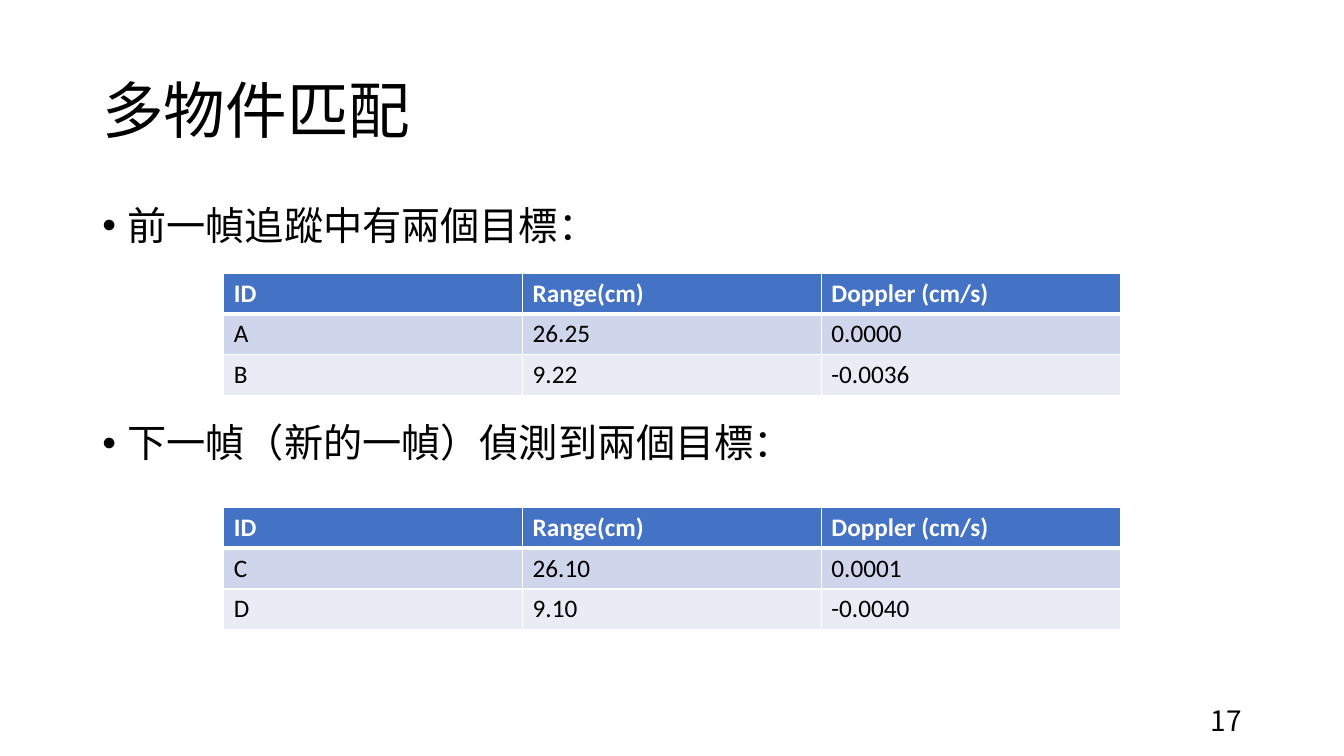
from dataclasses import dataclass

from lxml.etree import SubElement
from pptx import Presentation
from pptx.dml.color import RGBColor
from pptx.enum.text import MSO_ANCHOR, PP_ALIGN
from pptx.oxml.ns import qn
from pptx.slide import Slide
from pptx.table import _Cell
from pptx.text.text import TextFrame, _Paragraph
from pptx.util import Cm, Pt


@dataclass(frozen=True)
class Theme:
    black: str = "000000"
    white: str = "FFFFFF"
    header: str = "4472C4"
    bands: tuple[str, str] = ("CFD5EA", "E9EBF5")
    text_font: str = "Noto Sans CJK SC"
    table_font: str = "Calibri"
    title_size: int = 44
    body_size: int = 28
    number_size: int = 20
    table_size: int = 18


@dataclass(frozen=True)
class Box:
    left: float
    top: float
    width: float
    height: float


@dataclass(frozen=True)
class Bullet:
    text: str
    space_before: float


@dataclass(frozen=True)
class TargetTable:
    top: float
    targets: tuple[tuple[str, str, str], ...]


THEME = Theme()
TABLE_LEFT, COLUMN_WIDTH, ROW_HEIGHT = 5.64, 7.53, 1.03
HEADINGS = ("ID", "Range(cm)", "Doppler (cm/s)")
TITLE_BOX = Box(2.33, 1.01, 29.21, 3.68)
BODY_BOX = Box(2.33, 5.08, 29.21, 12.09)
NUMBER_BOX = Box(23.93, 17.65, 7.62, 1.02)
BULLETS = (
    Bullet("前一幀追蹤中有兩個目標：", 10),
    Bullet("下一幀（新的一幀）偵測到兩個目標：", 125),
)
TABLES = (
    TargetTable(6.88, (("A", "26.25", "0.0000"), ("B", "9.22", "-0.0036"))),
    TargetTable(12.78, (("C", "26.10", "0.0001"), ("D", "9.10", "-0.0040"))),
)


def add_run(paragraph: _Paragraph, text: str, size: int, font: str = THEME.text_font,
            color: str = THEME.black, bold: bool = False) -> None:
    run = paragraph.add_run()
    run.text = text
    run.font.size = Pt(size)
    run.font.bold = bold
    run.font.color.rgb = RGBColor.from_string(color)
    run.font.name = font
    SubElement(run.font._element, qn("a:ea"), typeface=font)


def add_text_frame(slide: Slide, box: Box, anchor: MSO_ANCHOR) -> TextFrame:
    shape = slide.shapes.add_textbox(Cm(box.left), Cm(box.top), Cm(box.width), Cm(box.height))
    shape.text_frame.word_wrap = True
    shape.text_frame.vertical_anchor = anchor
    return shape.text_frame


def add_bullets(slide: Slide) -> None:
    text_frame = add_text_frame(slide, BODY_BOX, MSO_ANCHOR.TOP)
    for index, bullet in enumerate(BULLETS):
        paragraph = text_frame.add_paragraph() if index else text_frame.paragraphs[0]
        paragraph.line_spacing = 0.9
        paragraph.space_before = Pt(bullet.space_before)
        properties = paragraph._p.get_or_add_pPr()
        indent = Cm(0.635)
        properties.set("marL", str(indent))
        properties.set("indent", str(-indent))
        SubElement(properties, qn("a:buFont"), typeface="Arial")
        SubElement(properties, qn("a:buChar"), char="•")
        add_run(paragraph, bullet.text, THEME.body_size)


def set_borders(cell: _Cell, row: int) -> None:
    # A thick rule separates the header from the targets
    widths = {"lnL": 1, "lnR": 1, "lnT": 3 if row == 1 else 1, "lnB": 3 if row == 0 else 1}
    properties = cell._tc.get_or_add_tcPr()
    for side, width in widths.items():
        line = SubElement(properties, qn(f"a:{side}"), w=str(Pt(width)))
        SubElement(SubElement(line, qn("a:solidFill")), qn("a:srgbClr"), val=THEME.white)


def add_target_table(slide: Slide, target_table: TargetTable) -> None:
    rows = (HEADINGS, *target_table.targets)
    table = slide.shapes.add_table(
        len(rows), len(HEADINGS), Cm(TABLE_LEFT), Cm(target_table.top),
        Cm(COLUMN_WIDTH * len(HEADINGS)), Cm(ROW_HEIGHT * len(rows))).table
    for row, values in enumerate(rows):
        is_header = row == 0
        fill = THEME.header if is_header else THEME.bands[(row - 1) % 2]
        for column, value in enumerate(values):
            cell = table.cell(row, column)
            set_borders(cell, row)
            cell.fill.solid()
            cell.fill.fore_color.rgb = RGBColor.from_string(fill)
            add_run(cell.text_frame.paragraphs[0], value, THEME.table_size, THEME.table_font,
                    THEME.white if is_header else THEME.black, is_header)


def main() -> None:
    presentation = Presentation()
    presentation.slide_width, presentation.slide_height = Cm(33.87), Cm(19.05)
    slide = presentation.slides.add_slide(presentation.slide_layouts[6])

    # Title
    title = add_text_frame(slide, TITLE_BOX, MSO_ANCHOR.MIDDLE).paragraphs[0]
    title.line_spacing = 0.9
    add_run(title, "多物件匹配", THEME.title_size)

    # Bullets and the table under each
    add_bullets(slide)
    for target_table in TABLES:
        add_target_table(slide, target_table)

    # Page number
    number = add_text_frame(slide, NUMBER_BOX, MSO_ANCHOR.MIDDLE).paragraphs[0]
    number.alignment = PP_ALIGN.RIGHT
    add_run(number, "17", THEME.number_size)

    presentation.save("out.pptx")


if __name__ == "__main__":
    main()
